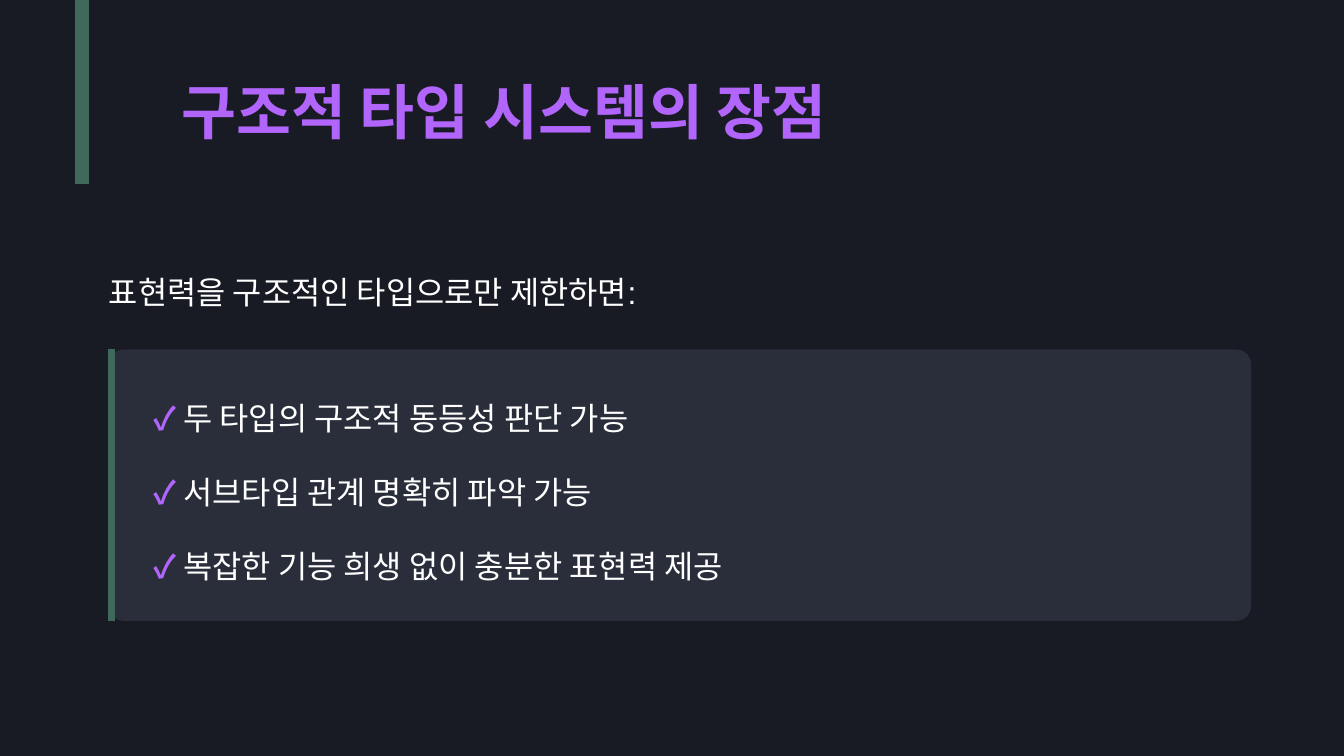
"""Build a slide on the advantages of a structural type system."""
from dataclasses import dataclass

import lxml.etree
import pptx
import pptx.dml.color
import pptx.enum.shapes
import pptx.enum.text
import pptx.oxml.ns
import pptx.util

Inches = pptx.util.Inches
Pt = pptx.util.Pt

COLORS = {
    "background": "181B24",
    "panel": "2A2D3A",
    "accent": "40695B",
    "highlight": "B165FB",
    "body": "FFFFFF",
}
FONT = "Arial"
BODY_SIZE = 17
ADVANTAGES = (
    "두 타입의 구조적 동등성 판단 가능",
    "서브타입 관계 명확히 파악 가능",
    "복잡한 기능 희생 없이 충분한 표현력 제공",
)
FIRST_ADVANTAGE_TOP = 2.87
ADVANTAGE_STEP = 0.55


@dataclass(frozen=True)
class Box:
    left: float
    top: float
    width: float
    height: float

    def lengths(self) -> list[pptx.util.Length]:
        return [Inches(side) for side in (self.left, self.top, self.width, self.height)]


@dataclass(frozen=True)
class Bar:
    x: float
    top: float
    bottom: float
    weight: float


PANEL = Box(0.81, 2.6, 8.5, 2.02)
BARS = (
    Bar(0.61, 0, 1.37, 7.5),
    Bar(0.83, PANEL.top, PANEL.top + PANEL.height, 3.75),
)


def rgb(name: str) -> pptx.dml.color.RGBColor:
    """Return a named palette colour."""
    return pptx.dml.color.RGBColor.from_string(COLORS[name])


def format_run(run, size: float, color: str, bold: bool = False) -> None:
    """Set the font of a run."""
    run.font.name = FONT
    run.font.size = Pt(size)
    run.font.bold = bold
    run.font.color.rgb = rgb(color)


def prepare_frame(frame) -> None:
    """Make a text frame wrap from its top left corner without insets."""
    frame.margin_left = frame.margin_top = frame.margin_right = frame.margin_bottom = 0
    frame.word_wrap = True
    frame.auto_size = pptx.enum.text.MSO_AUTO_SIZE.NONE
    frame.vertical_anchor = pptx.enum.text.MSO_ANCHOR.TOP
    frame.paragraphs[0].alignment = pptx.enum.text.PP_ALIGN.LEFT


def add_text(slide, box: Box):
    """Add an empty text box and return its first paragraph."""
    frame = slide.shapes.add_textbox(*box.lengths()).text_frame
    prepare_frame(frame)
    return frame.paragraphs[0]


def add_title(slide, box: Box, text: str) -> None:
    """Place and fill the title placeholder."""
    title = slide.shapes.title
    title.left, title.top, title.width, title.height = box.lengths()
    title.text_frame.text = text
    prepare_frame(title.text_frame)
    format_run(title.text_frame.paragraphs[0].runs[0], 32, "highlight", True)


def add_panel(slide, box: Box) -> None:
    """Add the rounded panel behind the advantages."""
    panel = slide.shapes.add_shape(
        pptx.enum.shapes.MSO_SHAPE.ROUNDED_RECTANGLE, *box.lengths()
    )
    panel.adjustments[0] = 0.055
    panel.shadow.inherit = False
    panel.fill.solid()
    panel.fill.fore_color.rgb = rgb("panel")
    panel.line.fill.background()


def add_bar(slide, bar: Bar) -> None:
    """Add a vertical accent line."""
    line = slide.shapes.add_connector(
        pptx.enum.shapes.MSO_CONNECTOR.STRAIGHT,
        Inches(bar.x), Inches(bar.top), Inches(bar.x), Inches(bar.bottom),
    )
    line.line.color.rgb = rgb("accent")
    line.line.width = Pt(bar.weight)
    lxml.etree.SubElement(line.element.spPr, pptx.oxml.ns.qn("a:effectLst"))


def add_advantage(slide, top: float, text: str) -> None:
    """Add one advantage with its check mark."""
    paragraph = add_text(slide, Box(1.14, top, 8.05, 0.38))
    paragraph.line_spacing = Pt(27.2)
    for part, color, bold in (("✓", "highlight", True), (f" {text}", "body", False)):
        run = paragraph.add_run()
        run.text = part
        format_run(run, BODY_SIZE, color, bold)


def main() -> None:
    """Compose and save the slide."""
    deck = pptx.Presentation()
    deck.slide_width = Inches(10)
    deck.slide_height = deck.slide_width * 9 // 16
    slide = deck.slides.add_slide(deck.slide_layouts[5])
    slide.background.fill.solid()
    slide.background.fill.fore_color.rgb = rgb("background")

    add_title(slide, Box(1.35, 0.56, 8.11, 0.54), "구조적 타입 시스템의 장점")
    premise = add_text(slide, Box(0.81, 2.03, 8.67, 0.29))
    premise.text = "표현력을 구조적인 타입으로만 제한하면:"
    format_run(premise.runs[0], BODY_SIZE, "body")

    add_panel(slide, PANEL)
    for bar in BARS:
        add_bar(slide, bar)
    for index, advantage in enumerate(ADVANTAGES):
        add_advantage(slide, FIRST_ADVANTAGE_TOP + index * ADVANTAGE_STEP, advantage)
    deck.save("out.pptx")


if __name__ == "__main__":
    main()
